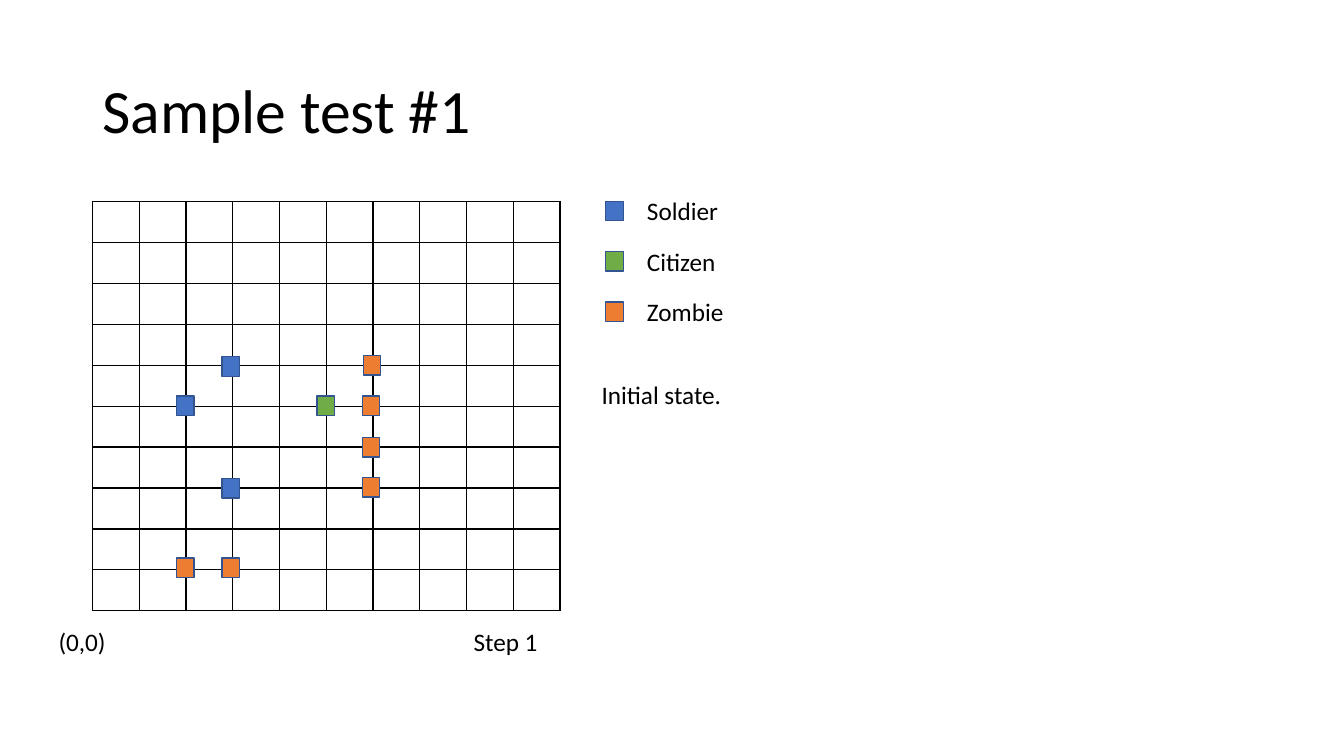
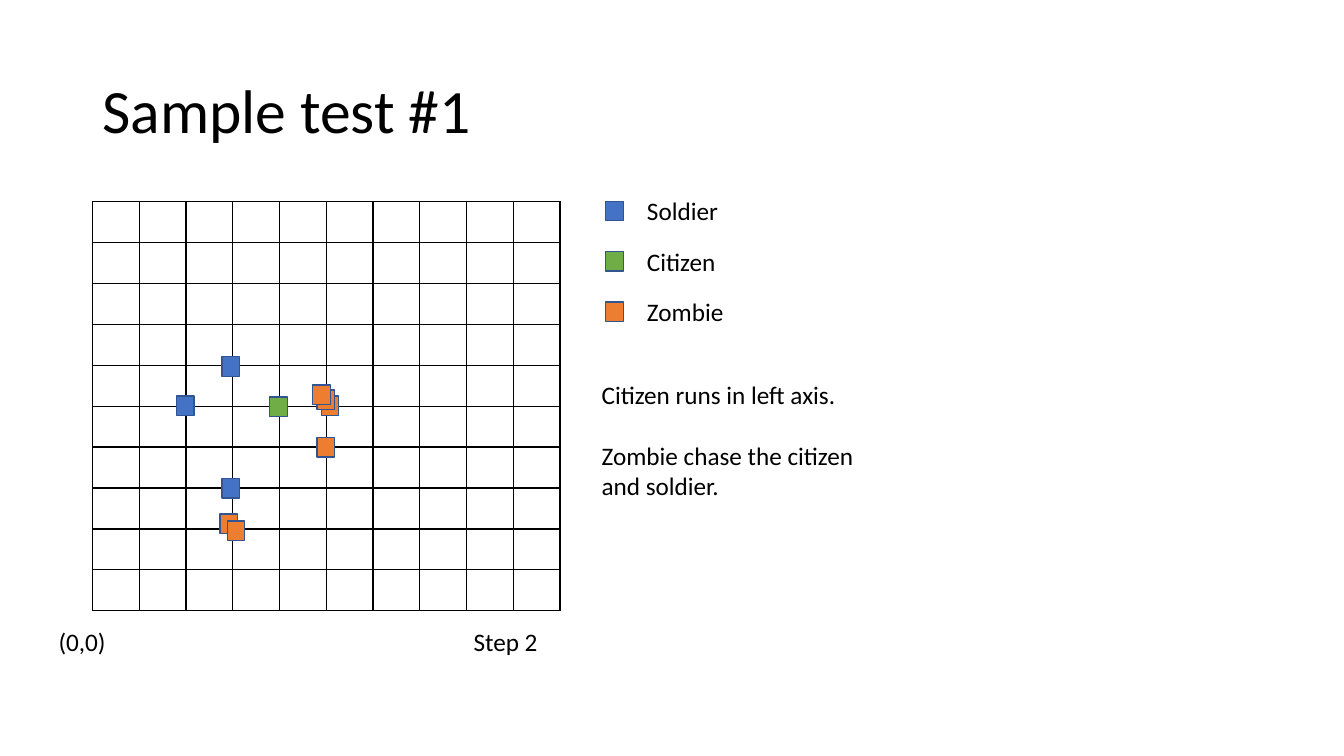
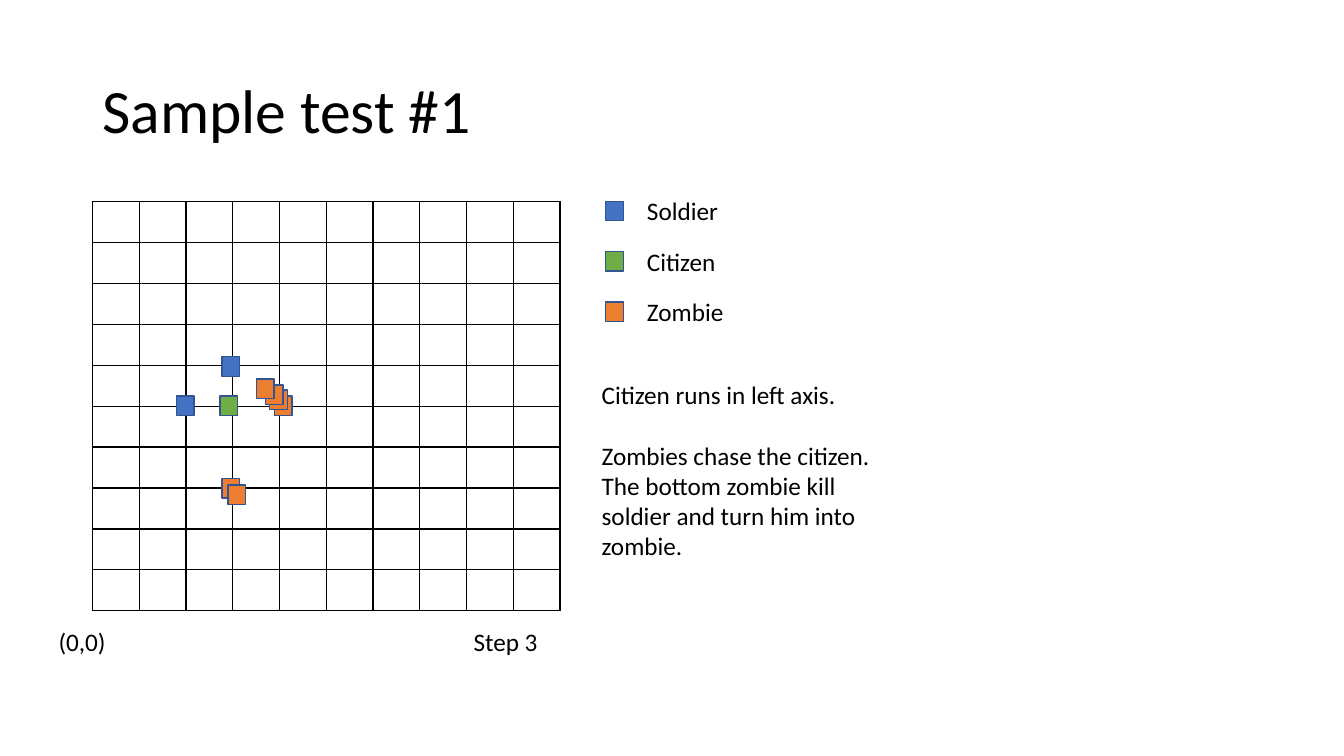
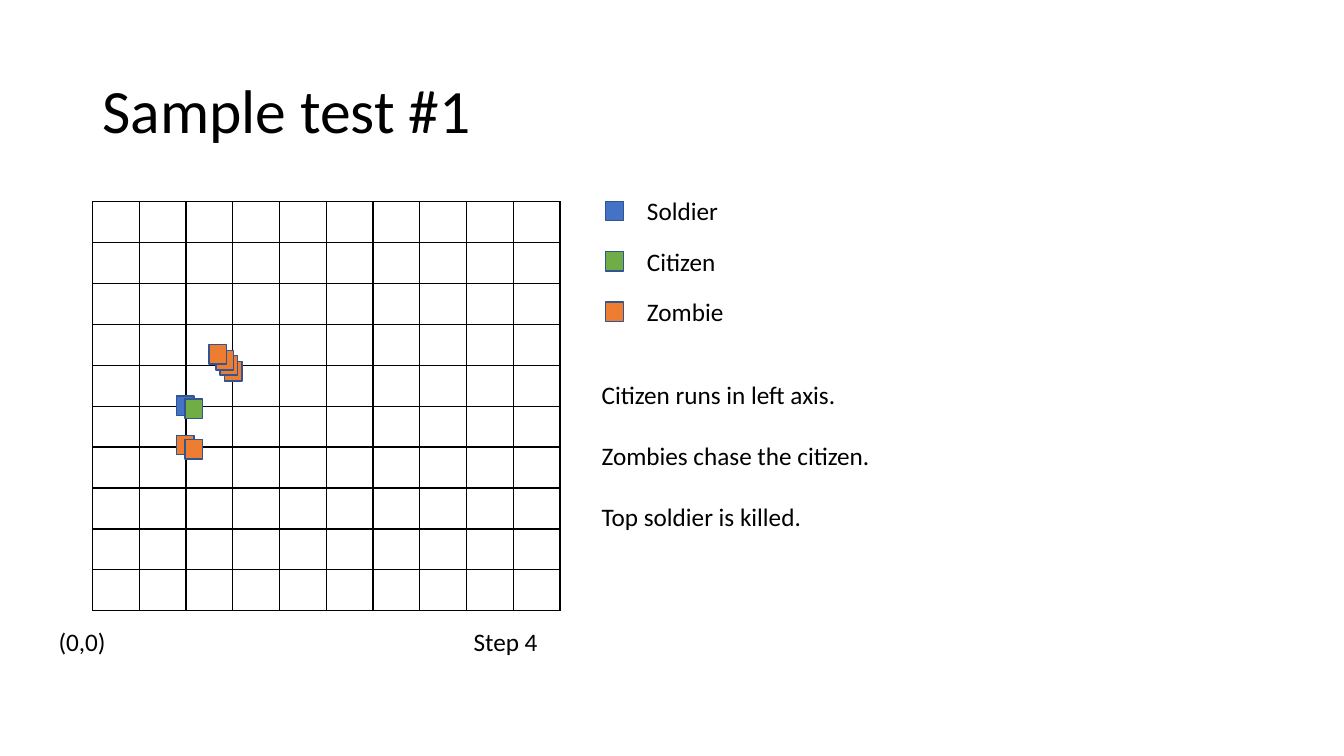
from dataclasses import dataclass

from lxml import etree
from pptx import Presentation
from pptx.dml.color import RGBColor
from pptx.enum.shapes import MSO_SHAPE
from pptx.enum.text import MSO_ANCHOR, MSO_AUTO_SIZE
from pptx.oxml.ns import qn
from pptx.util import Inches, Pt

RECTANGLE = MSO_SHAPE.RECTANGLE
MIDDLE = MSO_ANCHOR.MIDDLE
GROW = MSO_AUTO_SIZE.SHAPE_TO_FIT_TEXT
PAGE_COLUMNS, PAGE_ROWS = 80, 45
FIELD_CELLS = 10
SOLDIER, CITIZEN, ZOMBIE = "Soldier", "Citizen", "Zombie"


@dataclass(frozen=True)
class Theme:
    font: str = "Calibri"
    ink: str = "000000"
    marker_edge: str = "325491"
    title_size: int = 44
    body_size: int = 18
    note_gap: int = 22
    line_width: int = 1


@dataclass(frozen=True)
class Box:
    column: float
    row: float
    columns: float
    rows: float

    def within(self, column, row, columns, rows):
        return Box(self.column + column, self.row + row, columns, rows)

    def emu(self):
        across, down = deck.slide_width / PAGE_COLUMNS, deck.slide_height / PAGE_ROWS
        return (round(self.column * across), round(self.row * down),
                round(self.columns * across), round(self.rows * down))


@dataclass(frozen=True)
class Step:
    units: list
    notes: list
    note_lines: int


THEME = Theme()
UNIT_COLORS = {SOLDIER: "4472C4", CITIZEN: "70AD47", ZOMBIE: "ED7D31"}
MARKER_COLUMNS, MARKER_ROWS = 1.04, 1.16
LABEL_ROWS = 2.4
TITLE_BOX = Box(5.5, 2.4, 69, 8.7)
FIELD_BOX = Box(5.5, 12, 27.84, 24.36)
LEGEND_BOX = Box(36.06, 11.34, 11.88, 9)
NOTES_BOX = Box(35.22, 22.26, 18.54, 11.5)

LEFT_SOLDIER = (SOLDIER, 1.99, 5.01)
TOP_SOLDIER = (SOLDIER, 2.96, 5.97)
BOTTOM_SOLDIER = (SOLDIER, 2.96, 2.99)
RUN_NOTE = "Citizen runs in left axis."
STEPS = [
    Step([LEFT_SOLDIER, BOTTOM_SOLDIER, TOP_SOLDIER,
          (ZOMBIE, 5.96, 4), (ZOMBIE, 5.96, 5.01), (ZOMBIE, 5.96, 3.02),
          (CITIZEN, 4.99, 5.01), (ZOMBIE, 1.99, 1.05), (ZOMBIE, 2.96, 1.05),
          (ZOMBIE, 5.98, 6)],
         ["Initial state."], 1),
    Step([LEFT_SOLDIER, BOTTOM_SOLDIER, TOP_SOLDIER,
          (ZOMBIE, 5.08, 5.01), (ZOMBIE, 4.99, 4), (CITIZEN, 3.98, 4.99),
          (ZOMBIE, 2.92, 2.13), (ZOMBIE, 4.99, 5.16), (ZOMBIE, 4.9, 5.28),
          (ZOMBIE, 3.07, 1.96)],
         [RUN_NOTE, "Zombie chase the citizen and soldier."], 4),
    Step([LEFT_SOLDIER, (ZOMBIE, 2.96, 2.99), TOP_SOLDIER,
          (ZOMBIE, 4.08, 5.01), (CITIZEN, 2.92, 5.01), (ZOMBIE, 3.09, 2.84),
          (ZOMBIE, 3.98, 5.16), (ZOMBIE, 3.89, 5.28), (ZOMBIE, 3.7, 5.43)],
         [RUN_NOTE, "Zombies chase the citizen. The bottom zombie kill "
          "soldier and turn him into zombie."], 6),
    Step([LEFT_SOLDIER, (ZOMBIE, 1.99, 4.05), (ZOMBIE, 3.01, 5.85),
          (CITIZEN, 2.17, 4.94), (ZOMBIE, 2.92, 6), (ZOMBIE, 2.83, 6.12),
          (ZOMBIE, 2.68, 6.27), (ZOMBIE, 2.17, 3.95)],
         [RUN_NOTE, "Zombies chase the citizen.", "Top soldier is killed."], 5),
]


def write(slide, box, paragraphs, size=THEME.body_size):
    frame = slide.shapes.add_textbox(*box.emu()).text_frame
    frame.word_wrap = True
    for index, words in enumerate(paragraphs):
        paragraph = frame.add_paragraph() if index else frame.paragraphs[0]
        if index:
            paragraph.space_before = Pt(THEME.note_gap)
        run = paragraph.add_run()
        run.text = words
        run.font.name = THEME.font
        run.font.size = Pt(size)
        run.font.color.rgb = RGBColor.from_string(THEME.ink)
    return frame


def add_title(slide, box, words):
    frame = write(slide, box, [words], THEME.title_size)
    frame.vertical_anchor = MIDDLE
    frame.paragraphs[0].line_spacing = 0.9


def add_label(slide, box, paragraphs):
    write(slide, box, paragraphs).auto_size = GROW


def add_marker(slide, box, unit):
    marker = slide.shapes.add_shape(RECTANGLE, *box.emu())
    marker.shadow.inherit = False
    marker.fill.solid()
    marker.fill.fore_color.rgb = RGBColor.from_string(UNIT_COLORS[unit])
    marker.line.color.rgb = RGBColor.from_string(THEME.marker_edge)
    marker.line.width = Pt(THEME.line_width)


def outline_cell(cell):
    cell.margin_left = cell.margin_right = cell.margin_top = cell.margin_bottom = 0
    cell.fill.background()
    properties = cell._tc.get_or_add_tcPr()
    for position, side in enumerate(("a:lnL", "a:lnR", "a:lnT", "a:lnB")):
        edge = etree.Element(qn(side), w=str(Pt(THEME.line_width)))
        fill = etree.SubElement(edge, qn("a:solidFill"))
        etree.SubElement(fill, qn("a:srgbClr"), val=THEME.ink)
        properties.insert(position, edge)


def add_field(slide, box, units):
    left, top, width, height = box.emu()
    field = slide.shapes.add_table(FIELD_CELLS, FIELD_CELLS, left, top, width, height).table
    field.first_row = field.horz_banding = False
    for column in field.columns:
        column.width = width // FIELD_CELLS
    for row in field.rows:
        row.height = height // FIELD_CELLS
    for cell in field.iter_cells():
        outline_cell(cell)
    for unit, x, y in units:
        add_marker(slide, box.within(
            x * box.columns / FIELD_CELLS - MARKER_COLUMNS / 2,
            box.rows - y * box.rows / FIELD_CELLS - MARKER_ROWS / 2,
            MARKER_COLUMNS, MARKER_ROWS), unit)


def add_field_captions(slide, box, number):
    caption_row = box.rows + 0.6
    add_label(slide, box.within(-2.6, caption_row, 10.86, LABEL_ROWS), ["(0,0)"])
    add_label(slide, box.within(22.1, caption_row, 6.84, LABEL_ROWS), [f"Step {number}"])


def add_legend(slide, box):
    pitch = box.rows / len(UNIT_COLORS)
    for index, unit in enumerate(UNIT_COLORS):
        row = index * pitch
        add_marker(slide, box.within(0, row + 0.64, MARKER_COLUMNS, MARKER_ROWS), unit)
        add_label(slide, box.within(1.86, row, box.columns - 1.86, LABEL_ROWS), [unit])


def add_notes(slide, box, step):
    rows = 0.6 + 1.82 * step.note_lines
    add_label(slide, box.within(0, 0, box.columns, rows), step.notes)


def add_step_slide(number, step):
    slide = deck.slides.add_slide(deck.slide_layouts[6])
    add_title(slide, TITLE_BOX, "Sample test #1")
    add_field(slide, FIELD_BOX, step.units)
    add_field_captions(slide, FIELD_BOX, number)
    add_legend(slide, LEGEND_BOX)
    add_notes(slide, NOTES_BOX, step)


deck = Presentation()
deck.slide_width, deck.slide_height = Inches(13.33), Inches(7.5)
for step_number, current_step in enumerate(STEPS, 1):
    add_step_slide(step_number, current_step)
deck.save("out.pptx")
